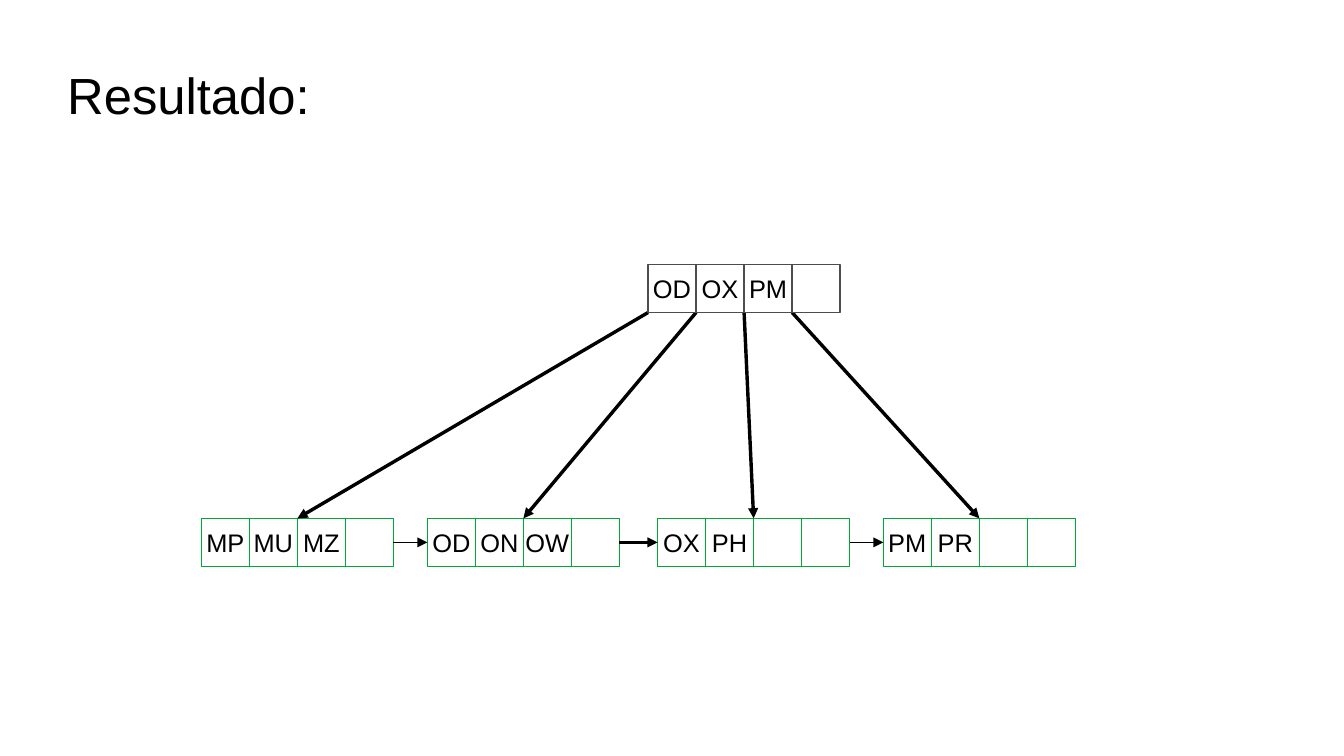
from lxml import etree
from pptx import Presentation
from pptx.dml.color import RGBColor
from pptx.enum.shapes import MSO_CONNECTOR, MSO_SHAPE
from pptx.enum.text import MSO_ANCHOR, PP_ALIGN
from pptx.oxml.ns import qn
from pptx.util import Pt

RECTANGLE = MSO_SHAPE.RECTANGLE
STRAIGHT = MSO_CONNECTOR.STRAIGHT
MIDDLE = MSO_ANCHOR.MIDDLE
LEFT, CENTER = PP_ALIGN.LEFT, PP_ALIGN.CENTER
RIGHT_SIDE, LEFT_SIDE = 3, 1

BLACK, WHITE, GREEN, GRAY = "000000", "FFFFFF", "00A933", "4D4D4D"
CELL = 28.35
ROOT_LEFT, ROOT_TOP, LEAF_TOP = 382.6, 156.2, 306.1
ROOT_KEYS = ["OD", "OX", "PM", ""]
LEAVES = [
    (118.9, ["MP", "MU", "MZ", ""]),
    (252.3, ["OD", "ON", "OW", ""]),
    (388.2, ["OX", "PH", "", ""]),
    (521.5, ["PM", "PR", "", ""]),
]
LINK_WIDTHS = [1, 1.5, 1]


def color(value):
    return RGBColor.from_string(value)


def set_attributes(target, values):
    for name, value in values.items():
        setattr(target, name, value)


def write_text(shape, text, size, alignment, wrap, margins):
    frame = shape.text_frame
    set_attributes(frame, {"text": text, "word_wrap": wrap, "vertical_anchor": MIDDLE})
    for side, margin in zip(("left", "top", "right", "bottom"), margins):
        setattr(frame, f"margin_{side}", Pt(margin))
    paragraph = frame.paragraphs[0]
    paragraph.alignment = alignment
    set_attributes(paragraph.font, {"name": "Arial", "size": Pt(size)})
    paragraph.font.color.rgb = color(BLACK)


def add_title(slide, text):
    title = slide.shapes.title
    set_attributes(title, {"left": Pt(39.6), "top": Pt(18),
                           "width": Pt(714.2), "height": Pt(75)})
    write_text(title, text, 30, LEFT, True, (0, 0, 0, 0))


def add_cell(slide, left, top, key, outline):
    cell = slide.shapes.add_shape(RECTANGLE, Pt(left), Pt(top), Pt(CELL), Pt(CELL))
    cell.shadow.inherit = False
    cell.fill.solid()
    cell.fill.fore_color.rgb = color(WHITE)
    cell.line.color.rgb = color(outline)
    cell.line.width = Pt(0)
    if key:
        write_text(cell, key, 15, CENTER, False, (7.2, 3.6, 7.2, 3.6))
    return cell


def add_node(slide, left, top, keys, outline):
    return [add_cell(slide, left + index * CELL, top, key, outline)
            for index, key in enumerate(keys)]


def add_arrow(slide, start, end, width):
    points = [Pt(value) for value in (*start, *end)]
    arrow = slide.shapes.add_connector(STRAIGHT, *points)
    arrow.line.color.rgb = color(BLACK)
    arrow.line.width = Pt(width)
    properties = arrow.line._get_or_add_ln()
    etree.SubElement(properties, qn("a:tailEnd"), type="triangle")
    etree.SubElement(properties.getparent(), qn("a:effectLst"))
    return arrow


def link_leaves(slide, before, after, width):
    arrow = add_arrow(slide, (0, 0), (0, 0), width)
    arrow.begin_connect(before[-1], RIGHT_SIDE)
    arrow.end_connect(after[0], LEFT_SIDE)


def main():
    presentation = Presentation()
    set_attributes(presentation, {"slide_width": Pt(793.44), "slide_height": Pt(446.4)})
    slide = presentation.slides.add_slide(presentation.slide_layouts[5])
    add_title(slide, "Resultado:")

    leaves = [add_node(slide, left, LEAF_TOP, keys, GREEN) for left, keys in LEAVES]
    for before, after, width in zip(leaves, leaves[1:], LINK_WIDTHS):
        link_leaves(slide, before, after, width)
    for index, (left, _) in enumerate(LEAVES):
        start = (ROOT_LEFT + index * CELL, ROOT_TOP + CELL)
        add_arrow(slide, start, (left + 2 * CELL, LEAF_TOP), 0)
    add_node(slide, ROOT_LEFT, ROOT_TOP, ROOT_KEYS, GRAY)

    presentation.save("out.pptx")


if __name__ == "__main__":
    main()
